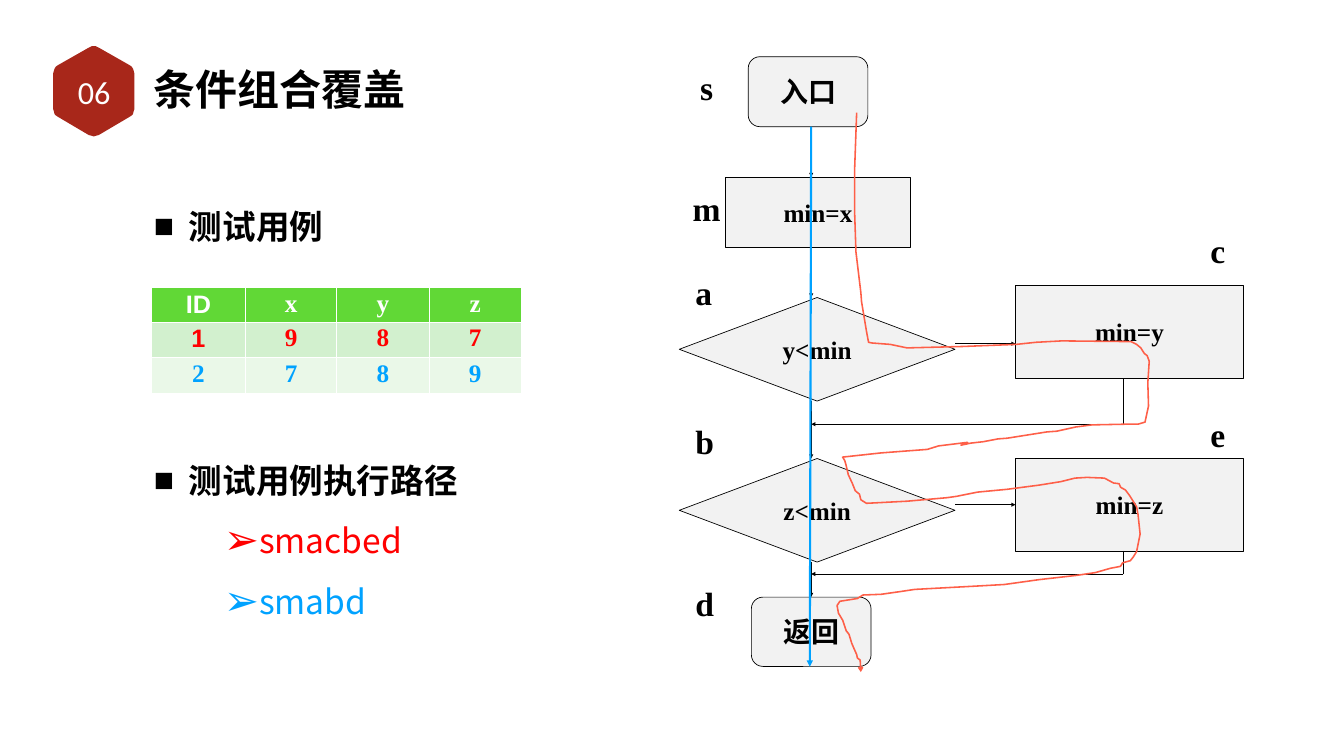
from math import cos, pi, sin

from lxml.etree import SubElement
from pptx import Presentation
from pptx.dml.color import RGBColor
from pptx.enum.shapes import MSO_CONNECTOR, MSO_SHAPE
from pptx.enum.text import MSO_ANCHOR, MSO_AUTO_SIZE, PP_ALIGN
from pptx.oxml.ns import qn
from pptx.util import Pt

COLORS = {
    "ink": "000000", "white": "FFFFFF", "badge": "A8271A", "node": "F2F2F2",
    "red": "FF0000", "blue": "00A2FF", "trace": "FE5F48",
    "head": "61D836", "odd": "D2F0CE", "even": "EAF8E8",
}
SERIF, SANS, CHINESE = "Times New Roman", "Arial", "Noto Sans CJK SC"

# Hand-drawn route of the first test case, in points
RED_ROUTE = [
    (1224, 161), (1221, 245), (1221, 300), (1223, 360), (1230, 418), (1231, 431),
    (1238, 473), (1241, 489), (1246, 490), (1272, 492), (1296, 497), (1375, 495),
    (1452, 492), (1480, 489), (1517, 487), (1616, 488), (1624, 492), (1630, 497),
    (1635, 505), (1639, 508), (1642, 516), (1640, 547), (1641, 580), (1636, 603),
    (1626, 606), (1608, 606), (1560, 607), (1537, 610), (1510, 616), (1496, 617),
    (1439, 626), (1426, 627), (1405, 631), (1387, 633), (1373, 636), (1383, 633),
    (1382, 632), (1341, 637), (1325, 642), (1259, 647), (1204, 653), (1207, 658),
    (1209, 665), (1212, 678), (1218, 691), (1222, 701), (1228, 706), (1230, 714),
    (1238, 719), (1296, 716), (1353, 711), (1367, 709), (1397, 703), (1439, 699),
    (1485, 693), (1516, 688), (1536, 683), (1553, 682), (1578, 683), (1591, 690),
    (1599, 691), (1601, 696), (1608, 700), (1614, 708), (1624, 724), (1626, 735),
    (1629, 763), (1624, 788), (1619, 796), (1615, 801), (1604, 804), (1601, 809),
    (1586, 812), (1565, 818), (1538, 822), (1485, 828), (1435, 835), (1400, 837),
    (1307, 842), (1287, 845), (1259, 849), (1233, 850), (1225, 855), (1200, 859),
    (1196, 865), (1198, 876), (1204, 886), (1209, 901), (1213, 906), (1217, 919),
    (1220, 926), (1224, 935), (1225, 940), (1229, 943), (1230, 960),
]


def color(name):
    return RGBColor.from_string(COLORS[name])


def rounded_hexagon(center_x, center_y, radius, cut):
    """Points of a hexagon standing on a corner, each corner a quadratic curve."""
    corners = [(center_x + radius * sin(k * pi / 3), center_y - radius * cos(k * pi / 3))
               for k in range(6)]
    points = []
    for k, corner in enumerate(corners):
        before, after = corners[k - 1], corners[(k + 1) % 6]
        start, end = ([c + (n - c) * cut / radius for c, n in zip(corner, near)]
                      for near in (before, after))
        for t in (0, 0.25, 0.5, 0.75, 1):
            points.append(tuple((1 - t) ** 2 * s + 2 * t * (1 - t) * c + t * t * e
                                for s, c, e in zip(start, corner, end)))
    return points


class FlowSlide:
    def __init__(self, deck):
        self.slide = deck.slides.add_slide(deck.slide_layouts[5])
        self.shapes = self.slide.shapes

    def style(self, para, size, font, ink="ink", bold=True, align=PP_ALIGN.CENTER):
        para.alignment = align
        for span in para.runs:
            span.font.size, span.font.name, span.font.bold = Pt(size), font, bold
            span.font.color.rgb = color(ink)
            SubElement(span.font._element, qn("a:ea"), typeface=CHINESE)

    def frame(self, frame, inset, anchor=MSO_ANCHOR.TOP, wrap=True):
        frame.word_wrap, frame.vertical_anchor = wrap, anchor
        frame.auto_size = MSO_AUTO_SIZE.NONE
        frame.margin_left = frame.margin_right = Pt(inset)
        frame.margin_top = frame.margin_bottom = Pt(min(inset, 4))

    def title(self, text, left, top, width, height):
        box = self.shapes.title
        box.left, box.top, box.width, box.height = map(Pt, (left, top, width, height))
        box.text_frame.text = text
        self.frame(box.text_frame, 4, MSO_ANCHOR.MIDDLE)
        self.style(box.text_frame.paragraphs[0], 60, CHINESE, align=PP_ALIGN.LEFT)

    def text(self, text, left, top, width, height, size=48, font=SERIF, ink="ink",
             bold=True, anchor=MSO_ANCHOR.TOP):
        box = self.shapes.add_textbox(*map(Pt, (left, top, width, height)))
        box.text_frame.text = text
        self.frame(box.text_frame, 4, anchor, wrap=False)
        self.style(box.text_frame.paragraphs[0], size, font, ink, bold)

    def bullets(self, items, left, top, width, height):
        """Each item is (text, ink, is_heading)."""
        box = self.shapes.add_textbox(*map(Pt, (left, top, width, height)))
        box.text_frame.text = "\n".join(text for text, _, _ in items)
        self.frame(box.text_frame, 4)
        for para, (_, ink, heading) in zip(box.text_frame.paragraphs, items):
            para.level = 0 if heading else 2
            para.line_spacing = 2.0 if heading else 1.5
            props = para._p.get_or_add_pPr()
            props.set("marL", str(Pt(50 if heading else 150)))
            props.set("indent", str(Pt(-50)))
            if not heading:
                SubElement(props, qn("a:buSzPct"), val="125000")
            SubElement(props, qn("a:buFont"), typeface=SANS)
            SubElement(props, qn("a:buChar"), char="■" if heading else "➢")
            self.style(para, 48, CHINESE, ink, heading, PP_ALIGN.LEFT)

    def node(self, kind, text, left, top, width, height, size=36):
        shape = self.shapes.add_shape(kind, *map(Pt, (left, top, width, height)))
        shape.shadow.inherit = False
        shape.fill.solid()
        shape.fill.fore_color.rgb = color("node")
        shape.line.color.rgb, shape.line.width = color("ink"), Pt(1)
        shape.text_frame.text = text
        self.frame(shape.text_frame, 7, MSO_ANCHOR.MIDDLE, wrap=False)
        self.style(shape.text_frame.paragraphs[0], size, SERIF)

    def arrowhead(self, line, kind):
        SubElement(line._get_or_add_ln(), qn("a:tailEnd"), type=kind)

    def line(self, x1, y1, x2, y2, arrow=True, ink="ink", width=1):
        link = self.shapes.add_connector(MSO_CONNECTOR.STRAIGHT, *map(Pt, (x1, y1, x2, y2)))
        link.line.color.rgb, link.line.width = color(ink), Pt(width)
        if arrow:
            self.arrowhead(link.line, "triangle")
        SubElement(link._element.spPr, qn("a:effectLst"))

    def outline(self, points, close):
        builder = self.shapes.build_freeform(*points[0], scale=Pt(1))
        builder.add_line_segments(points[1:], close=close)
        shape = builder.convert_to_shape()
        shape.shadow.inherit = False
        return shape

    def badge(self, points):
        shape = self.outline(points, close=True)
        shape.fill.solid()
        shape.fill.fore_color.rgb = color("badge")
        shape.line.fill.background()

    def route(self, points):
        shape = self.outline(points, close=False)
        shape.fill.background()
        shape.line.color.rgb, shape.line.width = color("trace"), Pt(2.25)
        self.arrowhead(shape.line, "arrow")

    def table(self, rows, left, top, widths, heights, fills, inks):
        size = sum(widths), sum(heights)
        grid = self.shapes.add_table(len(rows), len(widths),
                                     *map(Pt, (left, top, *size))).table
        for column, width in zip(grid.columns, widths):
            column.width = Pt(width)
        for r, values in enumerate(rows):
            grid.rows[r].height = Pt(heights[r])
            for c, value in enumerate(values):
                cell = grid.cell(r, c)
                cell.text = value
                cell.fill.solid()
                cell.fill.fore_color.rgb = color(fills[r])
                font = SANS if c == 0 and r < 2 else SERIF
                self.style(cell.text_frame.paragraphs[0], 36, font, inks[r])


def main():
    deck = Presentation()
    deck.slide_width, deck.slide_height = Pt(1920.24), Pt(1080)
    page = FlowSlide(deck)

    page.badge(rounded_hexagon(134, 130.3, 66.5, 7.7))
    page.text("06", 72, 93, 125, 76, 46, "Calibri", "white", False, MSO_ANCHOR.MIDDLE)
    page.title("条件组合覆盖", 215, 85, 433, 82)
    page.bullets([("测试用例", "ink", True)], 216, 233, 585, 188)
    page.table([["ID", "x", "y", "z"], ["1", "9", "8", "7"], ["2", "7", "8", "9"]],
               216, 411, [135, 130, 132, 132], [49, 51, 51],
               ["head", "odd", "even"], ["white", "red", "blue"])
    page.bullets([("测试用例执行路径", "ink", True), ("smacbed", "red", False),
                  ("smabd", "blue", False)], 216, 595, 585, 415)

    axis, return_x = 1159, 1605
    terminal, step = MSO_SHAPE.FLOWCHART_ALTERNATE_PROCESS, MSO_SHAPE.FLOWCHART_PROCESS
    page.node(terminal, "入口", 1069, 81, 171, 100, 40)
    page.node(terminal, "返回", 1073.5, 853, 171, 99, 40)
    page.node(step, "min=x", 1037, 254, 263.5, 100)
    for name, top, step_top, join in (("y", 425, 408, 606), ("z", 655, 655, 820)):
        page.node(MSO_SHAPE.FLOWCHART_DECISION, f"{name}<min", 970.5, top, 394, 148)
        page.node(step, f"min={name}", 1451, step_top, 325.5, 132)
        page.line(1365, top + 66, 1451, top + 66)
        page.line(return_x, step_top + 132, return_x, join, arrow=False)
        page.line(return_x, join, axis, join)
    for start, end in ((187, 253), (359, 425), (573, 655), (803.5, 853)):
        page.line(axis, start, axis, end)
    for label, center, top in (("s", 1009.5, 92), ("m", 1009.5, 264), ("a", 1005.5, 384.5),
                               ("b", 1007, 598), ("d", 1007, 829), ("c", 1740, 325),
                               ("e", 1740, 587)):
        page.text(label, center - 28, top, 56, 66 if label == "m" else 90)

    page.line(axis, 181, axis - 2, 952.5, ink="blue", width=3)
    page.route(RED_ROUTE)
    deck.save("out.pptx")


if __name__ == "__main__":
    main()
